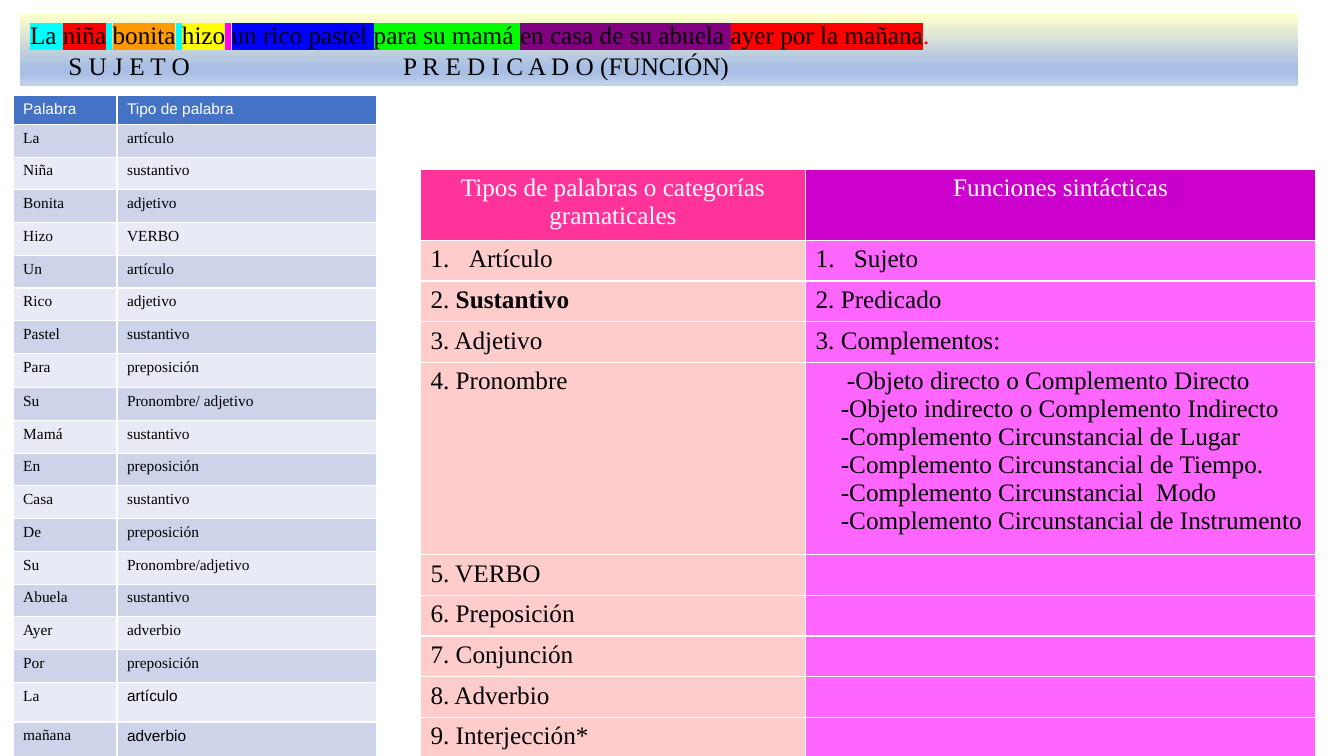
from lxml.etree import SubElement
from pptx import Presentation
from pptx.dml.color import RGBColor
from pptx.enum.shapes import MSO_SHAPE
from pptx.enum.text import MSO_ANCHOR, MSO_AUTO_SIZE, PP_ALIGN
from pptx.oxml.ns import qn
from pptx.util import Inches, Pt

SERIF, SANS = "Times New Roman", "Arial"
BLACK, WHITE, RED = "000000", "FFFFFF", "FF0000"

# Sentence: text and highlight colour
SENTENCE = [
    ("La ", "00FFFF"), ("niña", RED), (" ", "00FFFF"), ("bonita", "FF9900"),
    (" ", "00FFFF"), ("hizo", "FFFF00"), (" ", "FF00FF"),
    ("un rico pastel ", "0000FF"), ("para su mamá ", "00FF00"),
    ("en casa de su abuela ", "800080"), ("ayer por la mañana", RED), (".", None),
]
PARTS = "\tS U J E T O\tP R E D I C A D O (FUNCIÓN)"
PART_TABS = [0.38, 3.7]
BAND_STOPS = [(0, "FFFFCC"), (74, "A9BEE4"), (83, "A9BEE4"), (100, "C5D3ED")]

# Words table
WORDS = [
    ("Palabra", "Tipo de palabra"),
    ("La", "artículo"), ("Niña", "sustantivo"), ("Bonita", "adjetivo"),
    ("Hizo", "VERBO"), ("Un", "artículo"), ("Rico", "adjetivo"),
    ("Pastel", "sustantivo"), ("Para", "preposición"),
    ("Su", "Pronombre/ adjetivo"), ("Mamá", "sustantivo"),
    ("En", "preposición"), ("Casa", "sustantivo"), ("De", "preposición"),
    ("Su", "Pronombre/adjetivo"), ("Abuela", "sustantivo"),
    ("Ayer", "adverbio"), ("Por", "preposición"),
    ("La", "artículo"), ("mañana", "adverbio"),
]
WORD_HEIGHTS = [19.5] + [23.4] * 7 + [24.4] + [23.4] * 9 + [28.4] * 2
WORD_BANDS = ["E8EBF5", "CDD4EA"]

# Categories table
COMPLEMENTS = [
    "-Objeto directo o Complemento Directo",
    "-Objeto indirecto o Complemento Indirecto",
    "-Complemento Circunstancial de Lugar",
    "-Complemento Circunstancial de Tiempo.",
    "-Complemento Circunstancial  Modo",
    "-Complemento Circunstancial de Instrumento",
]
CATEGORIES = [
    ("Tipos de palabras o categorías gramaticales", "Funciones sintácticas"),
    ("Artículo", "Sujeto"),
    ("2. Sustantivo", "2. Predicado"),
    ("3. Adjetivo", "3. Complementos:"),
    ("4. Pronombre", "\n".join(COMPLEMENTS)),
    ("5. VERBO", ""), ("6. Preposición", ""), ("7. Conjunción", ""),
    ("8. Adverbio", ""), ("9. Interjección*", ""),
]
CATEGORY_HEIGHTS = [50.7] + [29.1] * 3 + [137.2] + [29.1] * 5
HEAD_FILLS, BODY_FILLS = ["FF3399", "CC00CC"], ["FFCCCC", "FF66FF"]


def rgb(value):
    return RGBColor.from_string(value)


def style(r, size, font, color):
    r.font.size, r.font.name = Pt(size), font
    r.font.color.rgb = rgb(color)


def highlight(r, color):
    mark = r._r.makeelement(qn("a:highlight"))
    SubElement(mark, qn("a:srgbClr"), val=color)
    r._r.rPr.find(qn("a:solidFill")).addnext(mark)


def indent(p, left, first=0.0):
    pPr = p._p.get_or_add_pPr()
    pPr.set("marL", str(Inches(left)))
    pPr.set("indent", str(Inches(first)))
    return pPr


def add_grid(s, left, top, widths, heights, rows, size, look):
    """look(row, column) gives the fill, font and text colour of a cell."""
    table = s.shapes.add_table(
        len(rows), len(widths), Inches(left), Inches(top),
        Inches(sum(widths)), Pt(sum(heights))).table
    for column, width in zip(table.columns, widths):
        column.width = Inches(width)
    for i, (row, height) in enumerate(zip(rows, heights)):
        table.rows[i].height = Pt(height)
        for j, text in enumerate(row):
            cell = table.cell(i, j)
            fill, font, color = look(i, j)
            cell.fill.solid()
            cell.fill.fore_color.rgb = rgb(fill)
            cell.text_frame.text = text
            for p in cell.text_frame.paragraphs:
                for r in p.runs:
                    style(r, size, font, color)
    return table


def word_look(i, j):
    if i == 0:
        return "4472C4", SANS, WHITE
    font = SANS if j == 1 and i >= len(WORDS) - 2 else SERIF
    return WORD_BANDS[i % 2], font, BLACK


def category_look(i, j):
    if i == 0:
        return HEAD_FILLS[j], SERIF, WHITE
    return BODY_FILLS[j], SERIF, BLACK


prs = Presentation()
prs.slide_width, prs.slide_height = Inches(13.33), Inches(7.5)
s = prs.slides.add_slide(prs.slide_layouts[6])

# Gradient band
band = s.shapes.add_shape(MSO_SHAPE.RECTANGLE, Inches(0.2), Inches(0.14),
                          Inches(12.67), Inches(0.71))
band.shadow.inherit = False
band.line.fill.background()
band.fill.gradient()
band.fill.gradient_angle = 270
stops = band._element.spPr.find(qn("a:gradFill")).find(qn("a:gsLst"))
for stop in list(stops):
    stops.remove(stop)
for share, color in BAND_STOPS:
    stop = SubElement(stops, qn("a:gs"), pos=str(share * 1000))
    SubElement(stop, qn("a:srgbClr"), val=color)

# Highlighted sentence and its parts
tf = band.text_frame
tf.word_wrap = True
tf.vertical_anchor = MSO_ANCHOR.MIDDLE
tf.auto_size = MSO_AUTO_SIZE.SHAPE_TO_FIT_TEXT
p = tf.paragraphs[0]
p.alignment = PP_ALIGN.LEFT
for text, color in SENTENCE:
    r = p.add_run()
    r.text = text
    style(r, 18, SERIF, BLACK if color else RED)
    if color:
        highlight(r, color)
p = tf.add_paragraph()
p.text = PARTS
p.alignment = PP_ALIGN.LEFT
style(p.runs[0], 18, SERIF, BLACK)
tabs = SubElement(p._p.get_or_add_pPr(), qn("a:tabLst"))
for place in PART_TABS:
    SubElement(tabs, qn("a:tab"), pos=str(Inches(place)), algn="l")

# Tables
add_grid(s, 0.13, 0.95, [1.03, 2.58], WORD_HEIGHTS, WORDS, 11, word_look)
categories = add_grid(s, 4.17, 1.68, [3.82, 5.06], CATEGORY_HEIGHTS,
                      CATEGORIES, 18, category_look)

# Centred headings and numbered first entries
for j in range(2):
    categories.cell(0, j).text_frame.paragraphs[0].alignment = PP_ALIGN.CENTER
    pPr = indent(categories.cell(1, j).text_frame.paragraphs[0], 0.38, -0.38)
    SubElement(SubElement(pPr, qn("a:buClr")), qn("a:srgbClr"), val=BLACK)
    SubElement(pPr, qn("a:buFont"), typeface="+mj-lt")
    SubElement(pPr, qn("a:buAutoNum"), type="arabicPeriod")

# Bold noun
p = categories.cell(2, 0).text_frame.paragraphs[0]
number, noun = p.text.split()
p.runs[0].text = number + " "
r = p.add_run()
r.text = noun
style(r, 18, SERIF, BLACK)
r.font.bold = True

# Indented complements
for k, p in enumerate(categories.cell(4, 1).text_frame.paragraphs):
    indent(p, 0.25, 0 if k else 0.06)

prs.save("out.pptx")
